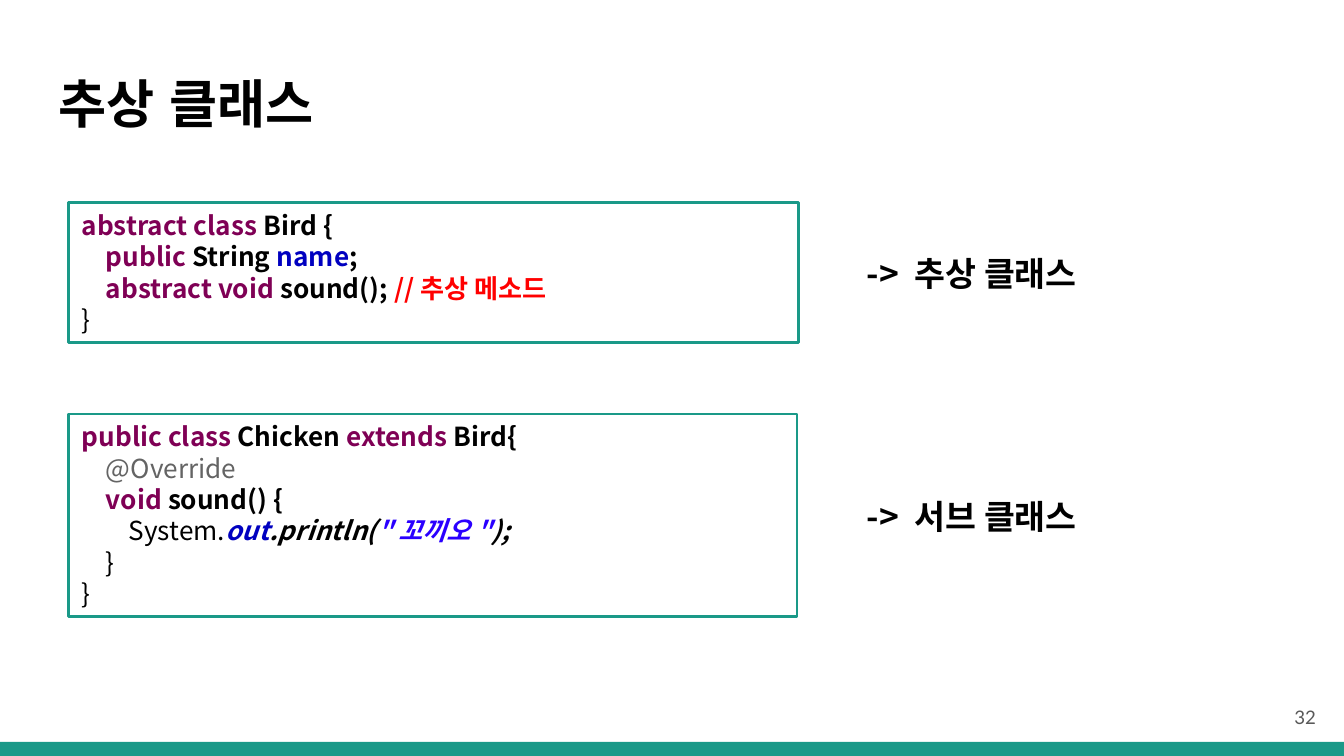
from pptx import Presentation
from pptx.dml.color import RGBColor
from pptx.enum.shapes import MSO_SHAPE
from pptx.enum.text import MSO_ANCHOR, PP_ALIGN
from pptx.oxml.ns import qn
from pptx.util import Inches, Pt
from lxml import etree

RECTANGLE = MSO_SHAPE.RECTANGLE
TOP, MIDDLE = MSO_ANCHOR.TOP, MSO_ANCHOR.MIDDLE
LEFT, RIGHT = PP_ALIGN.LEFT, PP_ALIGN.RIGHT

THEME = {
    "teal": "1A9988", "black": "000000", "keyword": "7F0055", "field": "0000C0",
    "string": "2A00FF", "comment": "FF0000", "annotation": "646464",
    "number": "595959",
    "title_size": 28, "label_size": 18, "code_size": 14, "number_size": 10,
    "title_font": "Arial", "code_font": "Noto Sans CJK KR", "number_font": "Lato",
}
INDENTS = [0, 0.18, 0.35]
LINE_PITCH = 1.2


def color(name):
    """Return the theme colour of that name."""
    return RGBColor.from_string(THEME[name])


def write(box, lines, role="code", font="code", inset=0.05, anchor=TOP,
          align=LEFT, wrap=True, pitch=None):
    """Fill a box with (indent level, spans); a span is text, colour, style."""
    frame = box.text_frame
    frame.word_wrap = wrap
    frame.vertical_anchor = anchor
    frame.margin_left = frame.margin_right = Inches(0.1)
    frame.margin_top = frame.margin_bottom = Inches(inset)
    size = THEME[role + "_size"]
    for index, (level, spans) in enumerate(lines):
        para = frame.paragraphs[0] if index == 0 else frame.add_paragraph()
        para.alignment = align
        if pitch:
            para.line_spacing = Pt(size * pitch)
        if level:
            para._p.get_or_add_pPr().set("marL", str(Inches(INDENTS[level])))
        for text, color_name, style in spans:
            span = para.add_run()
            span.text = text
            span.font.name = THEME[font + "_font"]
            span.font.size = Pt(size)
            span.font.bold = "b" in style
            span.font.italic = "i" in style
            span.font.color.rgb = color(color_name)
            east_asian = etree.SubElement(span.font._element, qn("a:ea"))
            east_asian.set("typeface", THEME[font + "_font"])


deck = Presentation()
deck.slide_width, deck.slide_height = Inches(10), Inches(10 * 9 / 16)
page = deck.slides.add_slide(deck.slide_layouts[6])

footer = page.shapes.add_shape(
    RECTANGLE, Inches(0), Inches(5.52), Inches(10), Inches(0.11))
footer.shadow.inherit = False
footer.fill.solid()
footer.fill.fore_color.rgb = color("teal")
footer.line.fill.background()

title = page.shapes.add_textbox(
    Inches(0.34), Inches(0.43), Inches(9.32), Inches(0.68))
write(title, [(0, [("추상 클래스", "black", "b")])],
      role="title", font="title", inset=0.1)

page_number = page.shapes.add_textbox(
    Inches(9.29), Inches(5.12), Inches(0.6), Inches(0.43))
write(page_number, [(0, [("32", "number", "")])], role="number", font="number",
      inset=0.1, anchor=MIDDLE, align=RIGHT)

bird_code = [
    (0, [("abstract class", "keyword", "b"), (" Bird {", "black", "b")]),
    (1, [("public ", "keyword", "b"), ("String ", "black", "b"),
         ("name", "field", "b"), (";", "black", "b")]),
    (1, [("abstract void", "keyword", "b"), (" sound(); ", "black", "b"),
         ("//추상 메소드", "comment", "b")]),
    (0, [("}", "black", "")]),
]
chicken_code = [
    (0, [("public class", "keyword", "b"), (" Chicken ", "black", "b"),
         ("extends", "keyword", "b"), (" Bird{", "black", "b")]),
    (1, [("@Override", "annotation", "")]),
    (1, [("void ", "keyword", "b"), ("sound() {", "black", "b")]),
    (2, [("System.", "black", ""), ("out", "field", "bi"),
         (".println(", "black", "bi"), ('"꼬끼오"', "string", "bi"),
         (");", "black", "bi")]),
    (1, [("}", "black", "")]),
    (0, [("}", "black", "")]),
]

# Each listing: top, width, height, code, label top, label
listings = [
    (1.51, 5.43, 1.04, bird_code, 1.83, "-> 추상 클래스"),
    (3.08, 5.42, 1.51, chicken_code, 3.64, "-> 서브 클래스"),
]
for top, width, height, code, label_top, label_text in listings:
    code_box = page.shapes.add_shape(
        RECTANGLE, Inches(0.51), Inches(top), Inches(width), Inches(height))
    code_box.shadow.inherit = False
    code_box.fill.background()
    code_box.line.color.rgb = color("teal")
    code_box.line.width = Pt(1.5)
    write(code_box, code, pitch=LINE_PITCH)

    label = page.shapes.add_textbox(
        Inches(6.35), Inches(label_top), Inches(1.93), Inches(0.4))
    write(label, [(0, [(label_text, "black", "b")])],
          role="label", wrap=False, pitch=LINE_PITCH)

deck.save("out.pptx")
